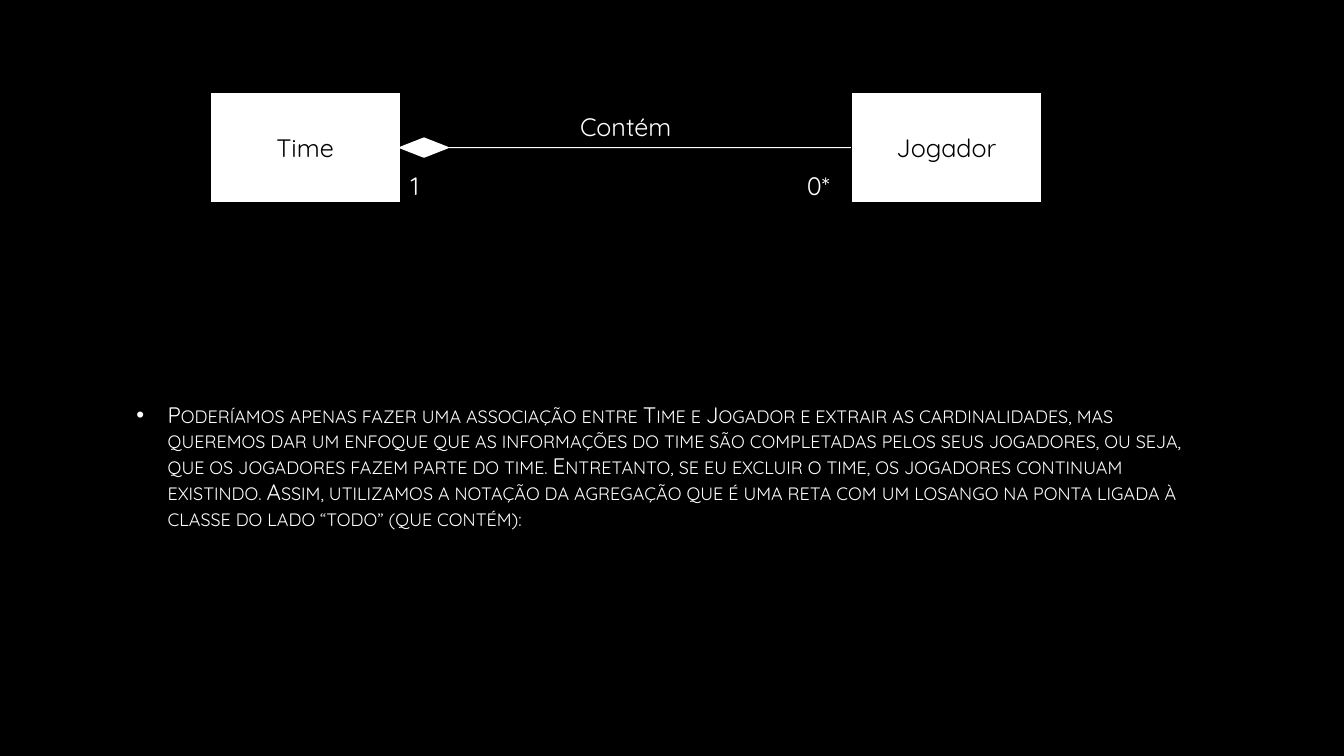
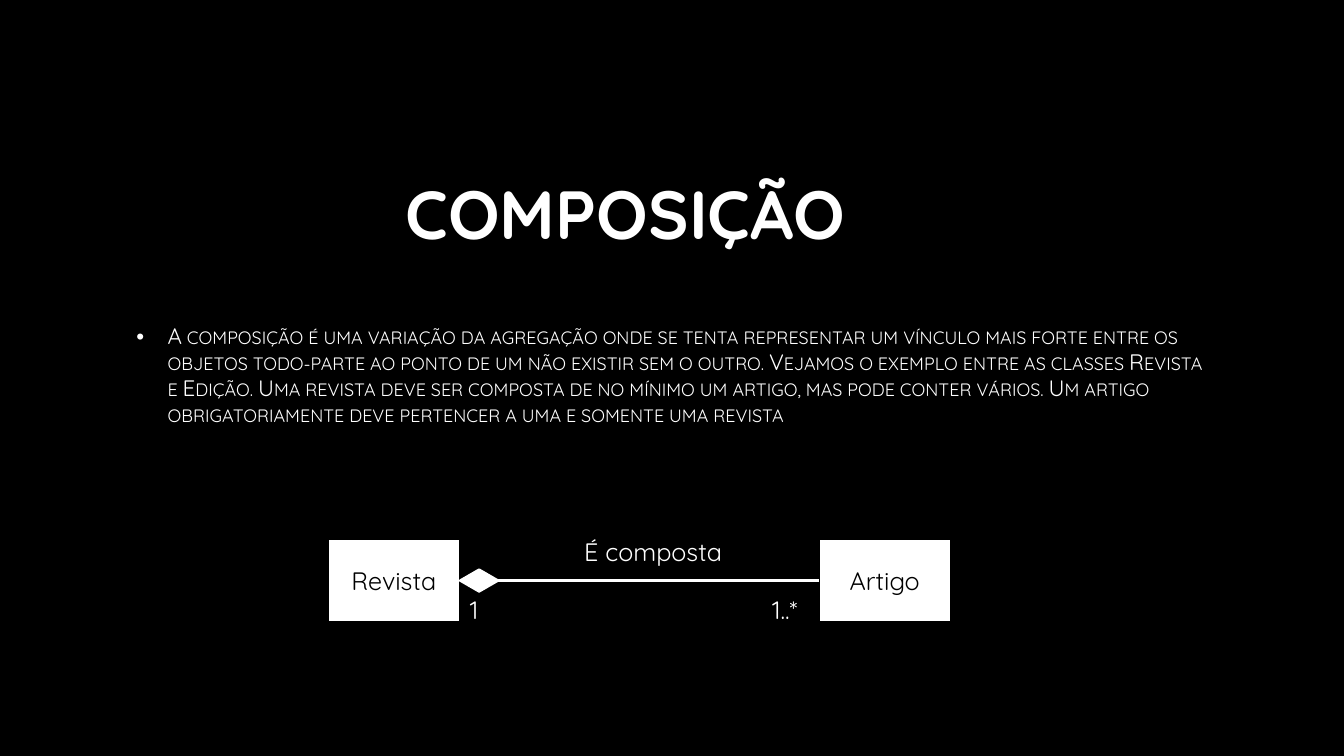
"""Builds two slides on aggregation and composition in class diagrams."""
import lxml.etree
import pptx
import pptx.dml.color
import pptx.enum.shapes
import pptx.enum.text
import pptx.oxml.ns
import pptx.util

Cm = pptx.util.Cm
ALIGN = pptx.enum.text.PP_ALIGN
ANCHOR = pptx.enum.text.MSO_ANCHOR
SHAPE = pptx.enum.shapes.MSO_SHAPE
FONT = "Quicksand"
WHITE = "FFFFFF"
BLACK = "000000"
CONTENT_LEFT = 3.18
CONTENT_WIDTH = 27.5
BODY_TOP = 7.42
LABEL_HEIGHT = 1.03


def color(value):
    """Return the colour of a hex string."""
    return pptx.dml.color.RGBColor.from_string(value)


def add_xml(parent, tag, **attributes):
    """Append a drawing element and return it."""
    return lxml.etree.SubElement(parent, pptx.oxml.ns.qn(tag), attributes)


def write_text(shape, text, size=18, fill=WHITE, bold=False, align=ALIGN.LEFT,
               anchor=ANCHOR.MIDDLE, wrap=True, bullet=False, small_caps=False,
               line_spacing=1.0):
    """Write one formatted paragraph into a shape."""
    frame = shape.text_frame
    frame.auto_size = pptx.enum.text.MSO_AUTO_SIZE.NONE
    frame.word_wrap = wrap
    frame.vertical_anchor = anchor
    paragraph = frame.paragraphs[0]
    paragraph.alignment = align
    paragraph.line_spacing = line_spacing
    paragraph.space_before = pptx.util.Pt(0)
    if bullet:
        properties = paragraph._p.get_or_add_pPr()
        properties.set("marL", str(Cm(0.79)))
        properties.set("indent", str(-Cm(0.79)))
        add_xml(add_xml(properties, "a:buClr"), "a:srgbClr", val=WHITE)
        add_xml(properties, "a:buFont", typeface="Arial")
        add_xml(properties, "a:buChar", char="•")
    run = paragraph.add_run()
    run.text = text
    run.font.name = FONT
    run.font.size = pptx.util.Pt(size)
    run.font.bold = bold
    run.font.color.rgb = color(fill)
    if small_caps:
        run._r.get_or_add_rPr().set("cap", "small")


def place(shape, left, top, width, height):
    """Move and size a shape in centimetres."""
    shape.left, shape.top = Cm(left), Cm(top)
    shape.width, shape.height = Cm(width), Cm(height)


def add_block(slide, kind, left, top, width, height, line):
    """Add a white preset shape with an outline."""
    shape = slide.shapes.add_shape(kind, Cm(left), Cm(top), Cm(width), Cm(height))
    shape.shadow.inherit = False
    shape.fill.solid()
    shape.fill.fore_color.rgb = color(WHITE)
    shape.line.color.rgb = color(line)
    shape.line.width = pptx.util.Pt(1.5)
    return shape


def add_label(slide, text, left, top, width, align):
    """Add a one-line label."""
    label = slide.shapes.add_textbox(Cm(left), Cm(top), Cm(width), Cm(LABEL_HEIGHT))
    write_text(label, text, align=align, anchor=ANCHOR.TOP)


def add_relation(slide, box, classes, name, counts, class_width, diamond_size,
                 line_width, name_rise, count_drop, name_shift=0):
    """Draw two classes joined by a diamond-ended line inside a box."""
    left, top, width, height = box
    middle = top + height / 2
    whole_right = left + class_width
    part_left = left + width - class_width
    for text, class_left in zip(classes, (left, part_left)):
        part = add_block(slide, SHAPE.RECTANGLE, class_left, top, class_width, height, BLACK)
        write_text(part, text, fill=BLACK, align=ALIGN.CENTER)

    diamond_width, diamond_height = diamond_size
    diamond = add_block(slide, SHAPE.FLOWCHART_DECISION, whole_right,
                        middle - diamond_height / 2, diamond_width, diamond_height, WHITE)
    connector = slide.shapes.add_connector(
        pptx.enum.shapes.MSO_CONNECTOR.STRAIGHT, Cm(whole_right + diamond_width),
        Cm(middle), Cm(part_left), Cm(middle))
    connector.begin_connect(diamond, 3)
    connector.end_connect(part, 1)
    connector.line.color.rgb = color(WHITE)
    connector.line.width = pptx.util.Pt(line_width)
    add_xml(connector._element.spPr, "a:effectLst")

    count_top = middle + count_drop
    add_label(slide, name, whole_right + name_shift, middle - name_rise,
              part_left - whole_right, ALIGN.CENTER)
    add_label(slide, counts[0], whole_right, count_top, 1.5, ALIGN.LEFT)
    add_label(slide, counts[1], part_left - 2.28, count_top, 2, ALIGN.RIGHT)


def add_content_slide(presentation, body, body_height, title=None):
    """Add a slide with a bulleted body and an optional title."""
    slide = presentation.slides.add_slide(presentation.slide_layouts[1])
    heading, content = slide.placeholders
    if title:
        place(heading, 9.97, 4.17, 20.7, 2.34)
        write_text(heading, title, size=48.6, bold=True)
    else:
        heading._element.getparent().remove(heading._element)
    place(content, CONTENT_LEFT, BODY_TOP, CONTENT_WIDTH, body_height)
    write_text(content, body, size=16, bullet=True, small_caps=True, line_spacing=0.96)
    return slide


def add_aggregation_slide(presentation):
    """Add the slide on aggregation."""
    slide = add_content_slide(
        presentation,
        "Poderíamos apenas fazer uma associação entre Time e Jogador e extrair as "
        "cardinalidades, mas queremos dar um enfoque que as informações do time são "
        "completadas pelos seus jogadores, ou seja, que os jogadores fazem parte do time. "
        "Entretanto, se eu excluir o time, os jogadores continuam existindo. Assim, "
        "utilizamos a notação da agregação que é uma reta com um losango na ponta ligada "
        "à classe do lado “todo” (que contém):",
        8.69)
    add_relation(slide, (5.28, 2.33, 20.98, 2.78), ("Time", "Jogador"), "Contém",
                 ("1", "0*"), class_width=4.82, diamond_size=(1.17, 0.46),
                 line_width=0.75, name_rise=1.03, count_drop=0.45)


def add_composition_slide(presentation):
    """Add the slide on composition."""
    slide = add_content_slide(
        presentation,
        "A composição é uma variação da agregação onde se tenta representar um vínculo "
        "mais forte entre os objetos todo-parte ao ponto de um não existir sem o outro. "
        "Vejamos o exemplo entre as classes Revista e Edição. Uma revista deve ser composta "
        "de no mínimo um artigo, mas pode conter vários. Um artigo obrigatoriamente deve "
        "pertencer a uma e somente uma revista",
        4.09, title="COMPOSIÇÃO")
    add_relation(slide, (8.26, 13.59, 15.7, 2.08), ("Revista", "Artigo"), "É composta",
                 ("1", "1..*"), class_width=3.33, diamond_size=(0.97, 0.56),
                 line_width=2, name_rise=1.25, count_drop=0.21, name_shift=0.35)


def main():
    """Build and save the presentation."""
    presentation = pptx.Presentation()
    presentation.slide_width, presentation.slide_height = Cm(33.87), Cm(19.05)
    background = presentation.slide_master.background.fill
    background.solid()
    background.fore_color.rgb = color(BLACK)
    add_aggregation_slide(presentation)
    add_composition_slide(presentation)
    presentation.save("out.pptx")


if __name__ == "__main__":
    main()
